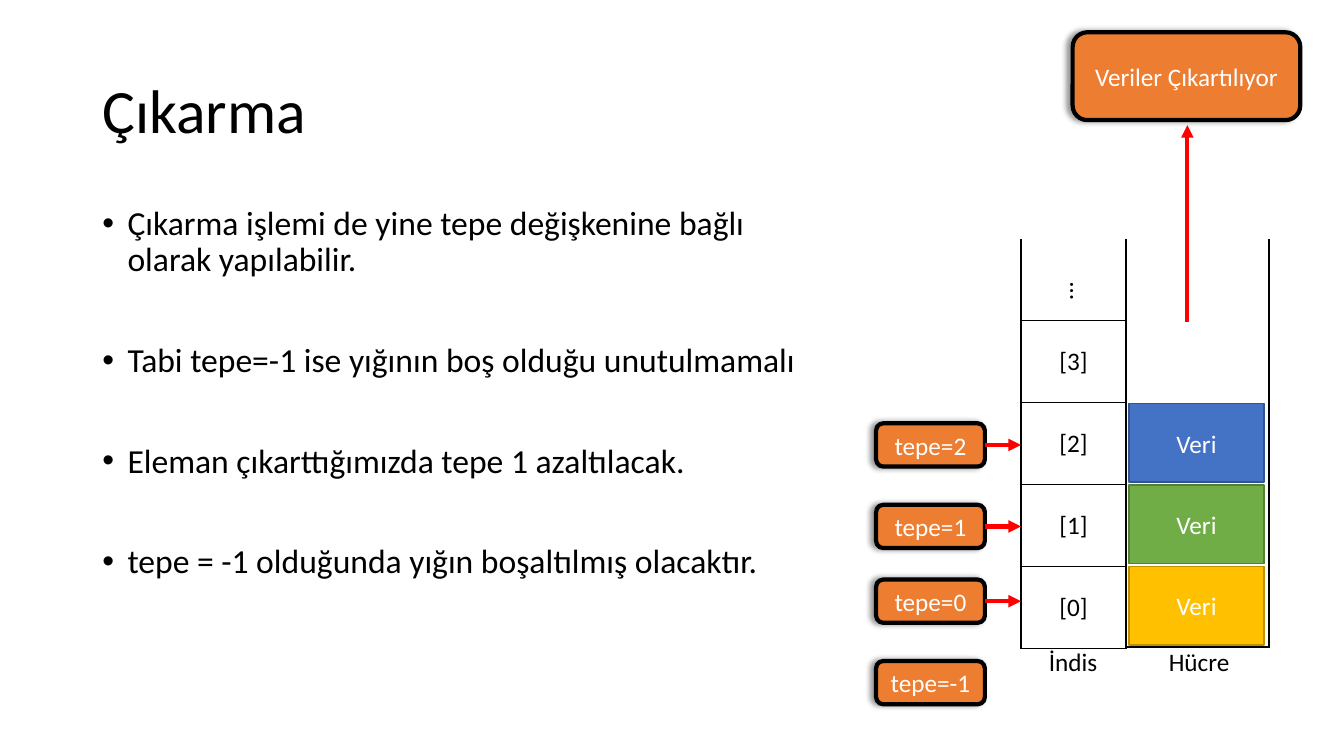
from lxml import etree
from pptx import Presentation
from pptx import util as u
from pptx.dml.color import RGBColor
from pptx.enum import shapes, text
from pptx.oxml.ns import qn

BLACK = RGBColor(0x00, 0x00, 0x00)
WHITE = RGBColor(0xFF, 0xFF, 0xFF)
RED = RGBColor(0xFF, 0x00, 0x00)
ORANGE = RGBColor(0xED, 0x7D, 0x31)
BLUE, DARK_BLUE = RGBColor(0x44, 0x72, 0xC4), RGBColor(0x32, 0x54, 0x91)
GREEN, DARK_GREEN = RGBColor(0x70, 0xAD, 0x47), RGBColor(0x53, 0x80, 0x35)
YELLOW, DARK_YELLOW = RGBColor(0xFF, 0xC0, 0x00), RGBColor(0xBD, 0x8E, 0x00)

WIDTH, HEIGHT = u.Inches(13.333), u.Inches(7.5)
COLUMNS, ROWS = 32, 18
CENTER, LEFT = text.PP_ALIGN.CENTER, text.PP_ALIGN.LEFT
MIDDLE, TOP = text.MSO_ANCHOR.MIDDLE, text.MSO_ANCHOR.TOP


def add_xml(parent, tag, **attributes):
    return etree.SubElement(parent, qn(tag), {k: str(v) for k, v in attributes.items()})


def write(frame, *lines, size=18, color=BLACK, align=CENTER, anchor=TOP,
          wrap=True, spacing=None, gap=0, bullet=None):
    frame.word_wrap = wrap
    frame.vertical_anchor = anchor
    for number, line in enumerate(lines):
        paragraph = frame.add_paragraph() if number else frame.paragraphs[0]
        paragraph.alignment = align
        paragraph.line_spacing = spacing
        if number:
            paragraph.space_before = u.Pt(gap)
        if bullet:
            properties = paragraph._p.get_or_add_pPr()
            properties.set("marL", str(u.Inches(0.25)))
            properties.set("indent", str(-u.Inches(0.25)))
            add_xml(properties, "a:buFont", typeface="Arial")
            add_xml(properties, "a:buChar", char=bullet)
        run = paragraph.add_run()
        run.text = line
        run.font.name = "Calibri"
        run.font.size = u.Pt(size)
        run.font.color.rgb = color


class StackSlide:
    """Draws the parts of a stack diagram on a grid of columns and rows."""

    def __init__(self, deck):
        self.slide = deck.slides.add_slide(deck.slide_layouts[5])
        self.items = self.slide.shapes

    def grid(self, *lengths):
        units = (WIDTH / COLUMNS, HEIGHT / ROWS)
        return [round(length * units[i % 2]) for i, length in enumerate(lengths)]

    def title(self, words, *place):
        heading = self.items.title
        heading.left, heading.top, heading.width, heading.height = self.grid(*place)
        write(heading.text_frame, words, size=44, align=LEFT, anchor=MIDDLE, spacing=0.9)

    def label(self, *lines, place, turn=0, **style):
        caption = self.items.add_textbox(*self.grid(*place))
        caption.rotation = turn
        write(caption.text_frame, *lines, **style)

    def box(self, words, *place, kind=shapes.MSO_SHAPE.RECTANGLE, fill, edge, weight=1):
        block = self.items.add_shape(kind, *self.grid(*place))
        block.shadow.inherit = False
        block.fill.solid()
        block.fill.fore_color.rgb = fill
        block.line.color.rgb = edge
        block.line.width = u.Pt(weight)
        write(block.text_frame, words, color=WHITE, anchor=MIDDLE)
        return block

    def badge(self, words, *place):
        block = self.box(words, *place, kind=shapes.MSO_SHAPE.ROUNDED_RECTANGLE,
                         fill=ORANGE, edge=BLACK, weight=3)
        block.text_frame.margin_left = block.text_frame.margin_right = u.Inches(0.05)
        effects = block._element.spPr.find(qn("a:effectLst"))
        shadow = add_xml(effects, "a:outerShdw", blurRad=u.Pt(4), dist=u.Pt(3),
                         dir=180 * 60000, algn="r", rotWithShape=0)
        add_xml(add_xml(shadow, "a:srgbClr", val=BLACK), "a:alpha", val=40000)
        return block

    def line(self, *ends, color=BLACK, weight=1.5, arrow=False, start=None):
        stroke = self.items.add_connector(shapes.MSO_CONNECTOR.STRAIGHT, *self.grid(*ends))
        if start is not None:
            stroke.begin_connect(start, 3)
        stroke.line.color.rgb = color
        stroke.line.width = u.Pt(weight)
        if arrow:
            add_xml(stroke.line._get_or_add_ln(), "a:tailEnd", type="triangle")
        add_xml(stroke._element.spPr, "a:effectLst")

    def arrow(self, *ends, start=None):
        self.line(*ends, color=RED, weight=3, arrow=True, start=start)

    def index_table(self, entries, left, top, width, row):
        table = self.items.add_table(
            len(entries), 1, *self.grid(left, top, width, row * len(entries))).table
        table.first_row = table.horz_banding = False
        for number, entry in enumerate(entries):
            cell = table.cell(number, 0)
            properties = cell._tc.get_or_add_tcPr()
            for side in "LRTB":
                border = add_xml(properties, f"a:ln{side}", w=u.Pt(1))
                if side == "T" and number == 0:
                    add_xml(border, "a:noFill")
                else:
                    add_xml(add_xml(border, "a:solidFill"), "a:srgbClr", val=BLACK)
            cell.fill.background()
            if entry:
                write(cell.text_frame, entry)
                cell.vertical_anchor = MIDDLE


def main():
    deck = Presentation()
    deck.slide_width, deck.slide_height = WIDTH, HEIGHT
    stack = StackSlide(deck)

    stack.title("Çıkarma", 2.2, 0.96, 27.6, 3.48)
    stack.label(
        "Çıkarma işlemi de yine tepe değişkenine bağlı olarak yapılabilir.",
        "Tabi tepe=-1 ise yığının boş olduğu unutulmamalı",
        "Eleman çıkarttığımızda tepe 1 azaltılacak.",
        "tepe = -1 olduğunda yığın boşaltılmış olacaktır.",
        place=(2.2, 4.8, 17.14, 11.42), size=24, align=LEFT, spacing=0.9, gap=46, bullet="•")

    index_left, stack_top, index_width, row = 24.31, 5.69, 2.5, 1.95
    cell_colors = [(BLUE, DARK_BLUE), (GREEN, DARK_GREEN), (YELLOW, DARK_YELLOW)]
    for level, (fill, edge) in enumerate(cell_colors):
        stack.box("Veri", 26.88, 9.61 + level * 1.94, 3.22, 1.87, fill=fill, edge=edge)
    stack.line(26.81, 15.41, 30.24, 15.41)
    stack.line(30.22, stack_top, 30.22, 15.43)
    stack.index_table(["", "[3]", "[2]", "[1]", "[0]"], index_left, stack_top, index_width, row)
    stack.label("…", place=(25.27, 6.46, 0.91, 0.96), turn=90, align=LEFT, wrap=False)
    stack.label("İndis", place=(24.46, 15.26, 2.18, 0.96))
    stack.label("Hücre", place=(27.58, 15.26, 1.94, 0.96), wrap=False)

    stack.badge("Veriler Çıkartılıyor", 25.54, 0.77, 5.42, 2.09)
    stack.arrow(28.27, 7.66, 28.27, 2.98)

    badge_left, badge_width, badge_height = 20.86, 2.59, 1.03
    for top_value, badge_top in [(2, 10.08), (1, 12.02), (0, 13.8), (-1, 15.74)]:
        badge = stack.badge(f"tepe={top_value}", badge_left, badge_top, badge_width, badge_height)
        if top_value >= 0:
            middle = badge_top + badge_height / 2
            stack.arrow(badge_left + badge_width, middle, index_left, middle, start=badge)

    deck.save("out.pptx")


if __name__ == "__main__":
    main()
